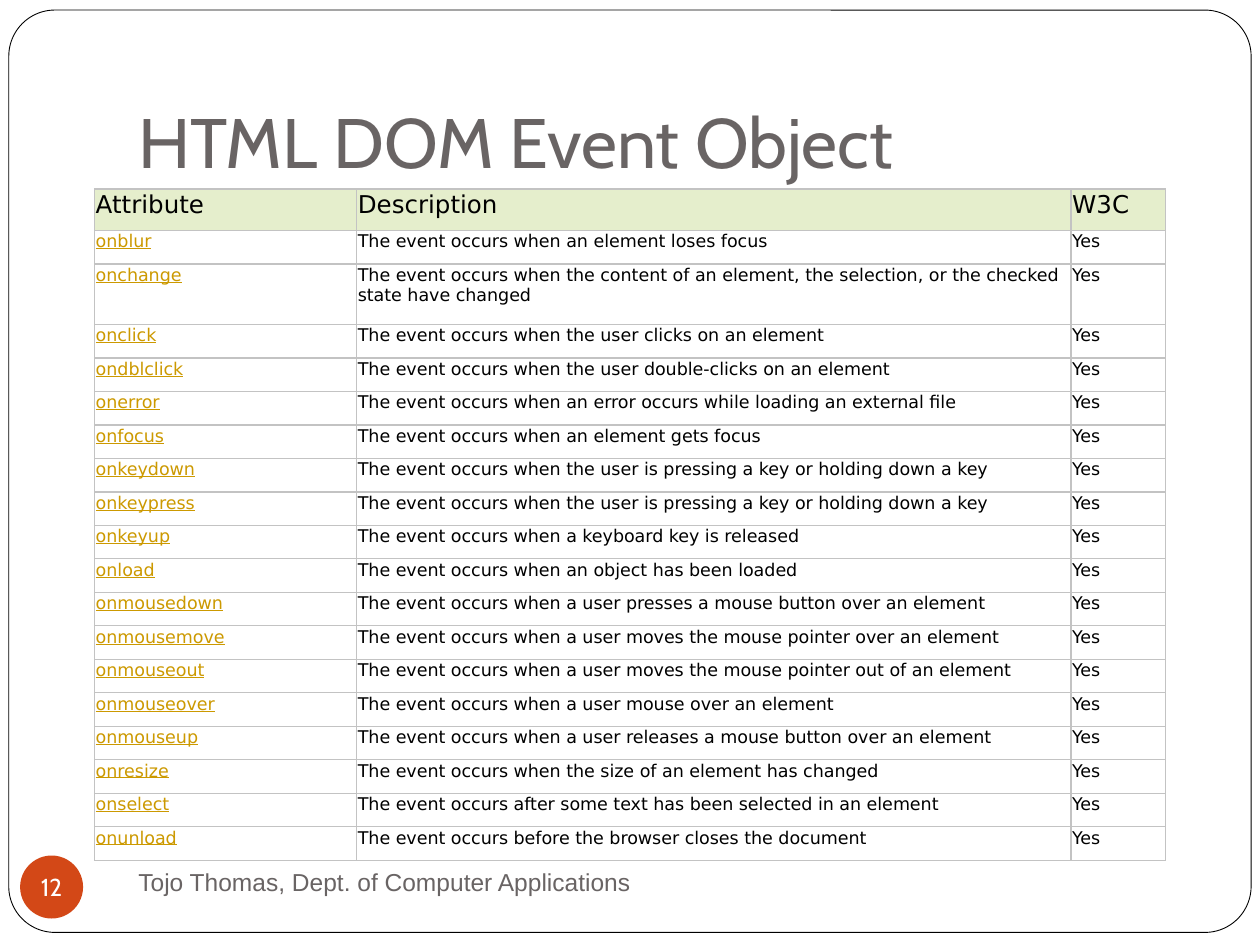
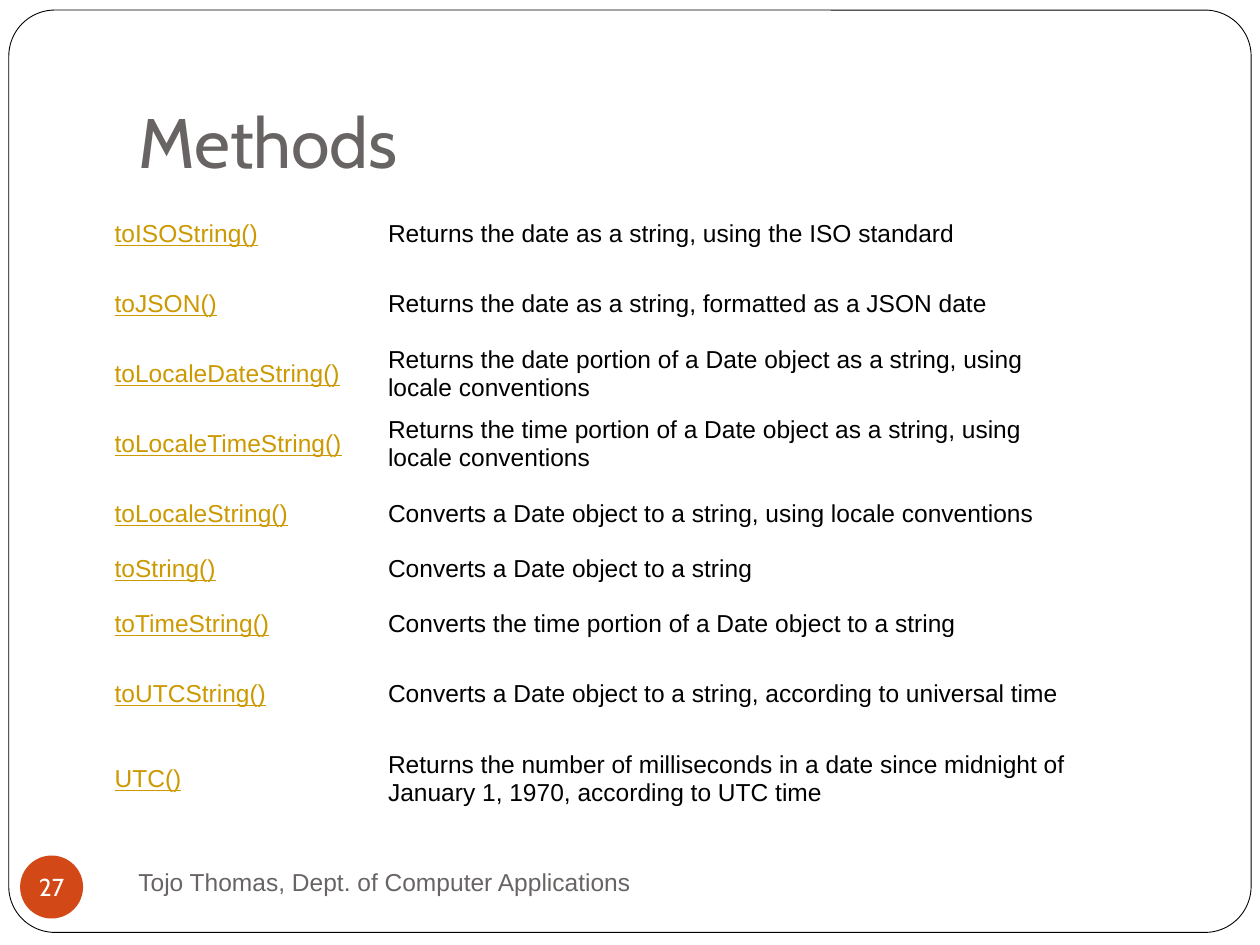
from dataclasses import dataclass, field

from lxml import etree
from pptx import Presentation
from pptx import util as u
from pptx.dml.color import RGBColor
from pptx.enum import shapes, text
from pptx.oxml import ns

WHITE = RGBColor(0xFF, 0xFF, 0xFF)
BLACK = RGBColor(0x00, 0x00, 0x00)
GREY = RGBColor(0x69, 0x64, 0x64)
ORANGE = RGBColor(0xD3, 0x48, 0x17)
LINK = RGBColor(0xCC, 0x99, 0x00)
HEADER_GREEN = RGBColor(0xE5, 0xEE, 0xCC)
BORDER = RGBColor(0xC3, 0xC3, 0xC3)

TITLE_FONT = "Cabin"
BODY_FONT = "Arial"
TABLE_FONT = "DejaVu Sans"
FOOTER = "Tojo Thomas, Dept. of Computer Applications"

EVENT_HEADER = ("Attribute", "Description", "W3C")
EVENTS = [
    ("onblur", "when an element loses focus"),
    ("onchange", "when the content of an element, the selection, or the checked state have changed"),
    ("onclick", "when the user clicks on an element"),
    ("ondblclick", "when the user double-clicks on an element"),
    ("onerror", "when an error occurs while loading an external file"),
    ("onfocus", "when an element gets focus"),
    ("onkeydown", "when the user is pressing a key or holding down a key"),
    ("onkeypress", "when the user is pressing a key or holding down a key"),
    ("onkeyup", "when a keyboard key is released"),
    ("onload", "when an object has been loaded"),
    ("onmousedown", "when a user presses a mouse button over an element"),
    ("onmousemove", "when a user moves the mouse pointer over an element"),
    ("onmouseout", "when a user moves the mouse pointer out of an element"),
    ("onmouseover", "when a user mouse over an element"),
    ("onmouseup", "when a user releases a mouse button over an element"),
    ("onresize", "when the size of an element has changed"),
    ("onselect", "after some text has been selected in an element"),
    ("onunload", "before the browser closes the document"),
]
DATE_METHODS = [
    ("toISOString()", "Returns the date as a string, using the ISO standard"),
    ("toJSON()", "Returns the date as a string, formatted as a JSON date"),
    ("toLocaleDateString()", "Returns the date portion of a Date object as a string, using locale conventions"),
    ("toLocaleTimeString()", "Returns the time portion of a Date object as a string, using locale conventions"),
    ("toLocaleString()", "Converts a Date object to a string, using locale conventions"),
    ("toString()", "Converts a Date object to a string"),
    ("toTimeString()", "Converts the time portion of a Date object to a string"),
    ("toUTCString()", "Converts a Date object to a string, according to universal time"),
    ("UTC()", "Returns the number of milliseconds in a date since midnight of January 1, 1970, according to UTC time"),
]


@dataclass
class TableSpec:
    """Lengths in inches; rows missing from fixed_rows share the remaining height."""
    left: float
    top: float
    height: float
    columns: list[float]
    rows: list[tuple[str, ...]]
    fixed_rows: dict[int, float]
    font: str
    size: float
    margins: tuple[float, float]
    anchor: text.MSO_ANCHOR
    bordered: bool = False
    header: bool = False
    header_size: float = 14

    def row_height(self, index: int) -> float:
        shared = self.height - sum(self.fixed_rows.values())
        return self.fixed_rows.get(index, shared / (len(self.rows) - len(self.fixed_rows)))


@dataclass
class SlideSpec:
    title: str
    number: int
    table: TableSpec


def write(tf, content: str, *, font: str = BODY_FONT, size: float = 14,
          color: RGBColor = BLACK, underline: bool = False, align=text.PP_ALIGN.LEFT) -> None:
    p = tf.paragraphs[0]
    p.alignment = align
    r = p.add_run()
    r.text = content
    r.font.name, r.font.size = font, u.Pt(size)
    r.font.color.rgb = color
    r.font.underline = underline


def set_margins(target, left: float, top: float, right: float, bottom: float) -> None:
    target.margin_left, target.margin_top = u.Inches(left), u.Inches(top)
    target.margin_right, target.margin_bottom = u.Inches(right), u.Inches(bottom)


def add_text_box(s, box: tuple[float, ...], content: str, anchor, bottom: float = 0.05, **fmt) -> None:
    tf = s.shapes.add_textbox(*map(u.Inches, box)).text_frame
    tf.word_wrap = True
    tf.vertical_anchor = anchor
    set_margins(tf, 0.1, 0.05, 0.1, bottom)
    write(tf, content, **fmt)


def add_filled_shape(s, kind, box: tuple[float, ...], fill: RGBColor):
    sp = s.shapes.add_shape(kind, *map(u.Inches, box))
    sp.shadow.inherit = False
    sp.fill.solid()
    sp.fill.fore_color.rgb = fill
    sp.line.fill.background()
    return sp


def add_frame(s) -> None:
    sp = add_filled_shape(s, shapes.MSO_SHAPE.ROUNDED_RECTANGLE, (0.07, 0.08, 9.86, 7.32), WHITE)
    sp.adjustments[0] = 0.05
    sp.line.color.rgb = BLACK
    sp.line.width = u.Pt(0.5)


def add_footer(s, number: int) -> None:
    add_text_box(s, (1, 6.75, 4.33, 0.5), FOOTER, text.MSO_ANCHOR.MIDDLE, color=GREY)
    badge = add_filled_shape(s, shapes.MSO_SHAPE.OVAL, (0.16, 6.79, 0.5, 0.5), ORANGE)
    tf = badge.text_frame
    tf.word_wrap = False
    tf.vertical_anchor = text.MSO_ANCHOR.MIDDLE
    set_margins(tf, 0, 0, 0, 0)
    write(tf, str(number), font=TITLE_FONT, color=WHITE, align=text.PP_ALIGN.CENTER)


def add_borders(cell) -> None:
    """Must run before the cell fill is set, as lines come first in tcPr."""
    tc_pr = cell._tc.get_or_add_tcPr()
    for side in ("lnL", "lnR", "lnT", "lnB"):
        ln = etree.SubElement(tc_pr, ns.qn(f"a:{side}"), w=str(u.Pt(0.75)))
        fill = etree.SubElement(ln, ns.qn("a:solidFill"))
        etree.SubElement(fill, ns.qn("a:srgbClr"), val=str(BORDER))


def add_table(s, spec: TableSpec) -> None:
    box = (spec.left, spec.top, sum(spec.columns), spec.height)
    table = s.shapes.add_table(len(spec.rows), len(spec.columns), *map(u.Inches, box)).table
    table.first_row = table.horz_banding = False
    for column, width in zip(table.columns, spec.columns):
        column.width = u.Inches(width)
    side, edge = spec.margins
    for i, row in enumerate(spec.rows):
        table.rows[i].height = u.Inches(spec.row_height(i))
        is_header = spec.header and i == 0
        for j, content in enumerate(row):
            cell = table.cell(i, j)
            cell.vertical_anchor = spec.anchor
            set_margins(cell, side, edge, side, edge)
            if spec.bordered:
                add_borders(cell)
                cell.fill.solid()
                cell.fill.fore_color.rgb = HEADER_GREEN if is_header else WHITE
            else:
                cell.fill.background()
            is_link = j == 0 and not is_header
            write(cell.text_frame, content, font=spec.font,
                  size=spec.header_size if is_header else spec.size,
                  color=LINK if is_link else BLACK, underline=is_link)


def add_slide(prs, spec: SlideSpec) -> None:
    s = prs.slides.add_slide(prs.slide_layouts[6])
    add_frame(s)
    add_text_box(s, (1, 0.3, 8.5, 1.25), spec.title, text.MSO_ANCHOR.BOTTOM, bottom=0.1,
                 font=TITLE_FONT, size=40, color=GREY)
    add_table(s, spec.table)
    add_footer(s, spec.number)


EVENT_TABLE = TableSpec(
    left=0.75, top=1.5, height=5.33, columns=[2.08, 5.67, 0.75],
    rows=[EVENT_HEADER] + [(name, f"The event occurs {when}", "Yes") for name, when in EVENTS],
    fixed_rows={0: 0.33, 2: 0.48}, font=TABLE_FONT, size=10, margins=(0.01, 0.01),
    anchor=text.MSO_ANCHOR.TOP, bordered=True, header=True)
METHOD_TABLE = TableSpec(
    left=0.83, top=1.58, height=5, columns=[2.17, 5.62], rows=DATE_METHODS,
    fixed_rows={5: 0.32, 8: 0.79}, font=BODY_FONT, size=14, margins=(0.08, 0.04),
    anchor=text.MSO_ANCHOR.MIDDLE)
SLIDES = [
    SlideSpec("HTML DOM Event Object", 12, EVENT_TABLE),
    SlideSpec("Methods", 27, METHOD_TABLE),
]


def main() -> None:
    prs = Presentation()
    prs.slide_width, prs.slide_height = u.Inches(10), u.Inches(7.5)
    for spec in SLIDES:
        add_slide(prs, spec)
    prs.save("out.pptx")


if __name__ == "__main__":
    main()
